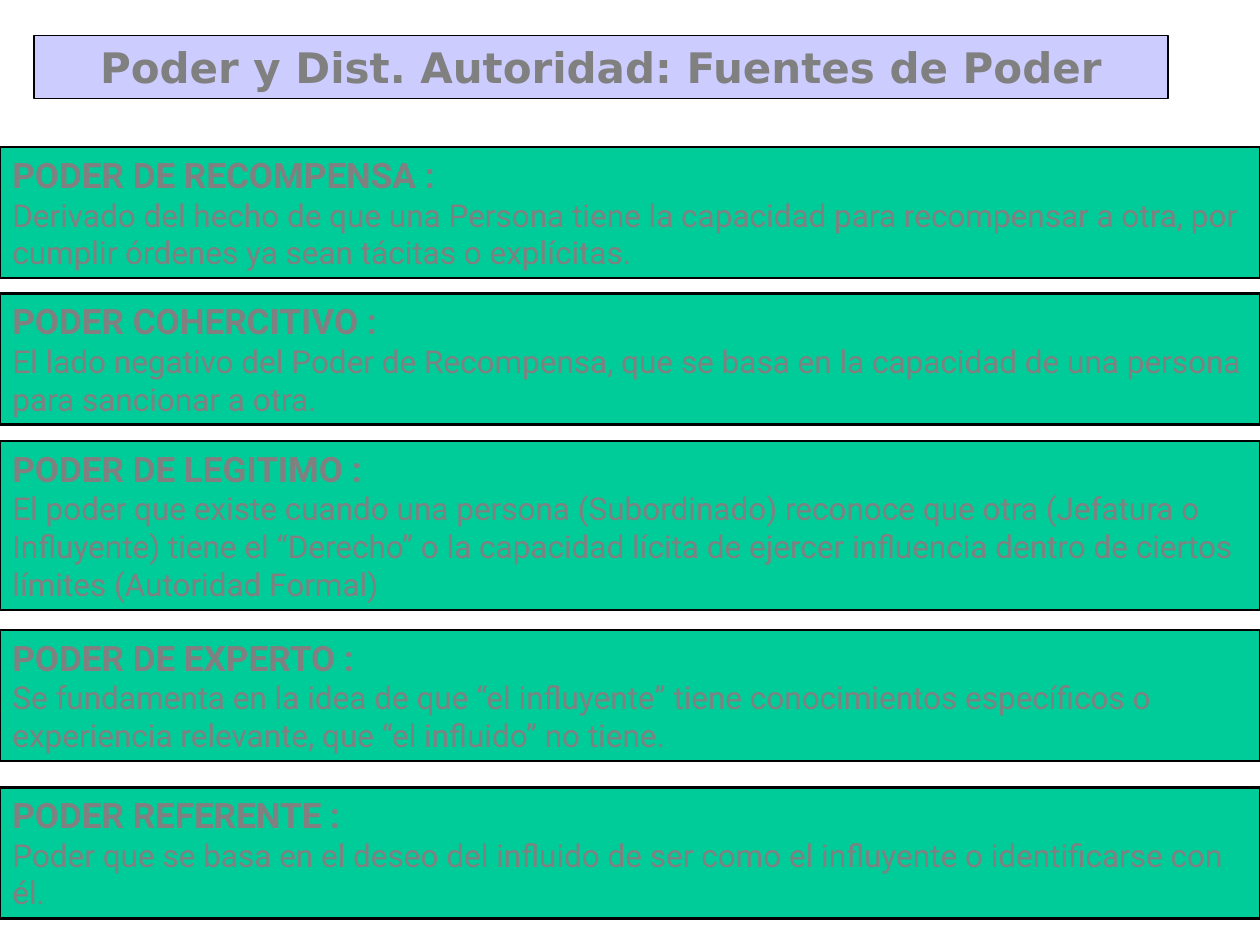
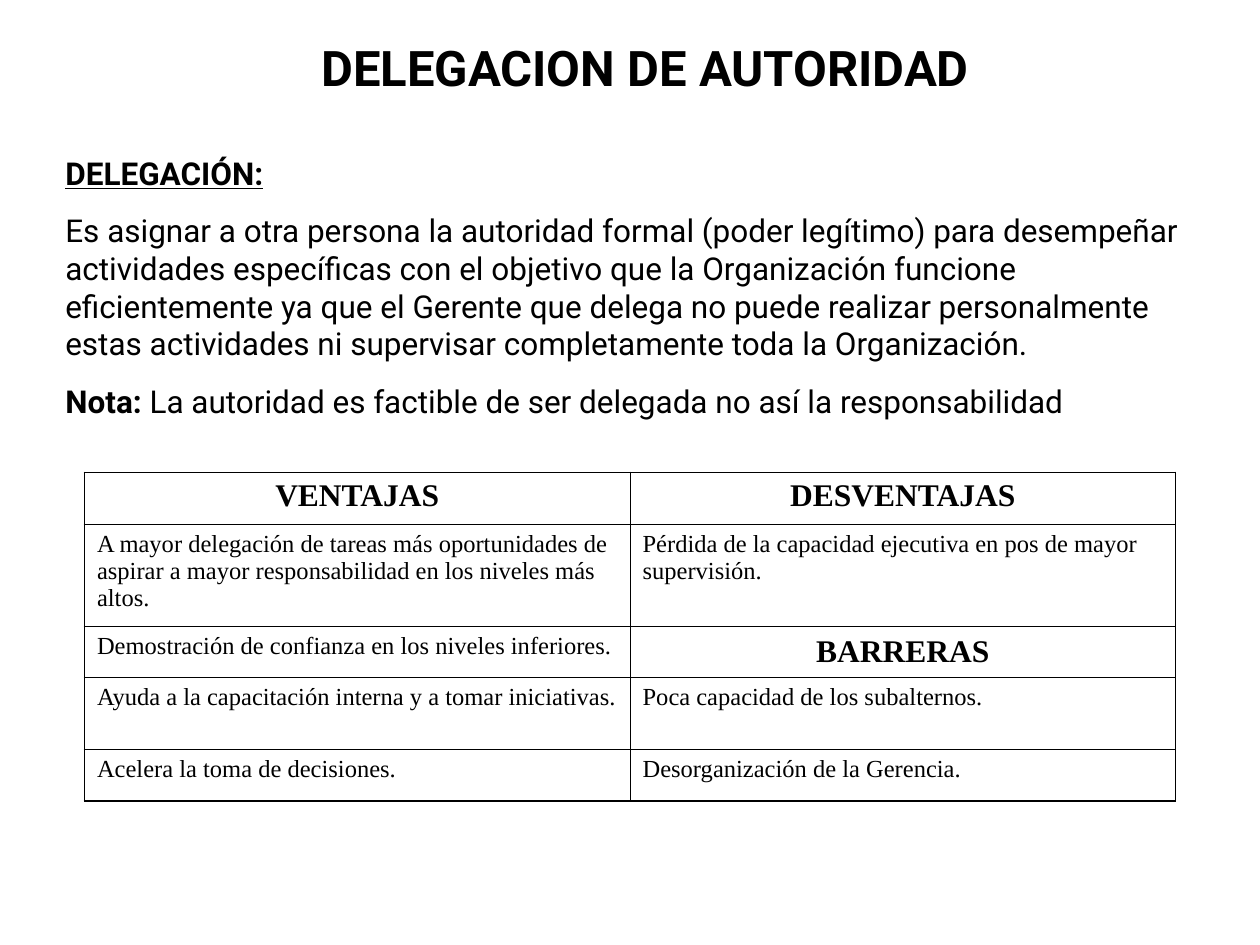
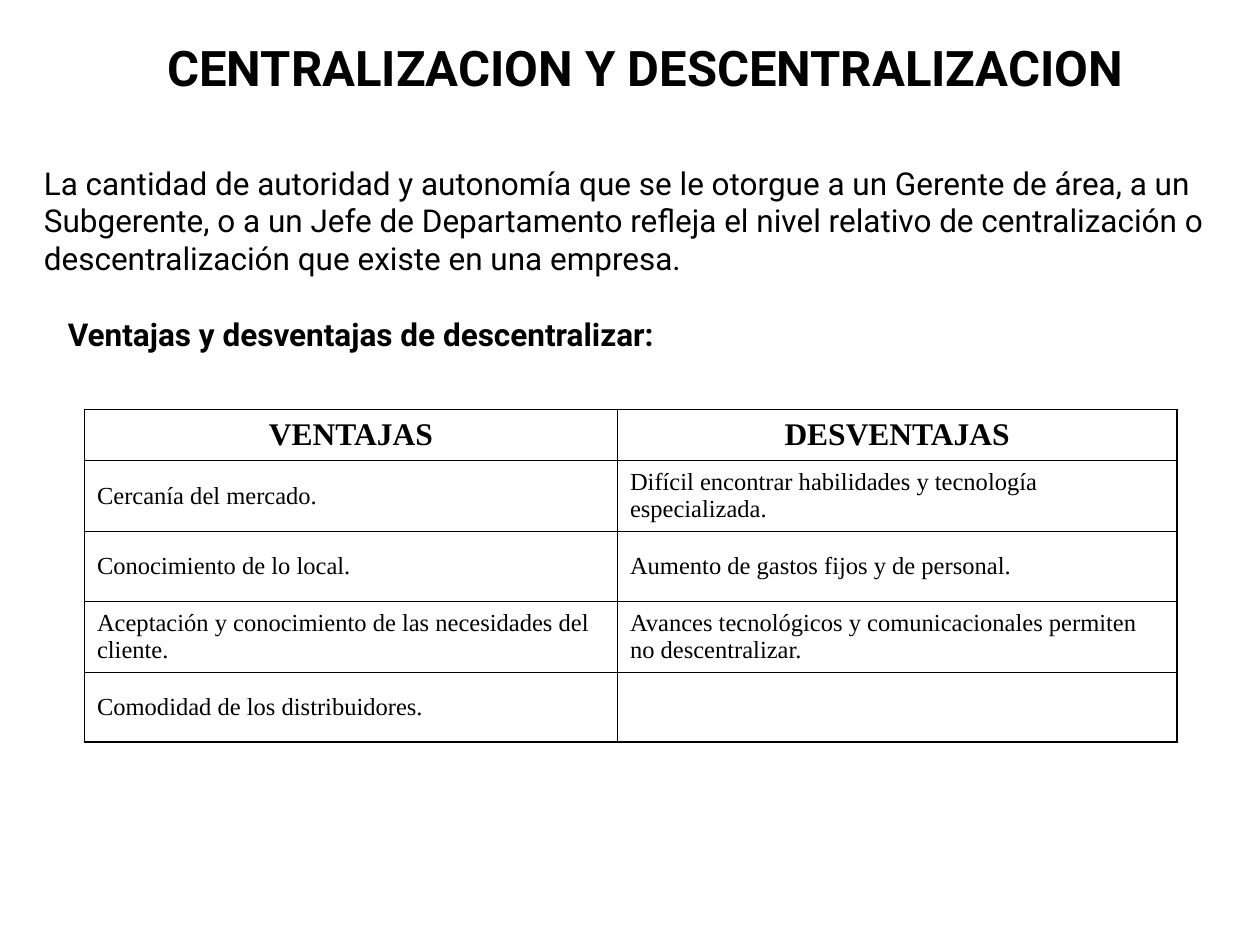
from pptx import Presentation, util as u
from pptx.dml.color import RGBColor
from pptx.enum import shapes, text
from pptx.oxml import parse_xml
from pptx.oxml.ns import nsdecls

HUES = {"ink": "000000", "gray": "808080", "lilac": "CCCCFF", "green": "00CC99"}
SANS, SERIF, WIDE = "Roboto", "Times New Roman", "DejaVu Sans"
HEAD = (0.59, 0.25, 9.06, 0.57)
MID, TOP = text.MSO_ANCHOR.MIDDLE, text.MSO_ANCHOR.TOP

POWERS = [
    (1.17, 1.04, "PODER DE RECOMPENSA :",
     "Derivado del hecho de que una Persona tiene la capacidad para recompensar a otra, "
     "por cumplir órdenes ya sean tácitas o explícitas."),
    (2.33, 1.04, "PODER COHERCITIVO :",
     "El lado negativo del Poder de Recompensa, que se basa en la capacidad de una persona "
     "para sancionar a otra."),
    (3.5, 1.34, "PODER DE LEGITIMO :",
     "El poder que existe cuando una persona (Subordinado) reconoce que otra (Jefatura o "
     "Influyente) tiene el “Derecho” o la capacidad lícita de ejercer influencia dentro de "
     "ciertos límites (Autoridad Formal)"),
    (5, 1.04, "PODER DE EXPERTO :",
     "Se fundamenta en la idea de que “el influyente” tiene conocimientos específicos o "
     "experiencia relevante, que “el influido” no tiene."),
    (6.25, 1.04, "PODER REFERENTE :",
     "Poder que se basa en el deseo del influido de ser como el influyente o identificarse "
     "con él."),
]
SHARING = [
    ("VENTAJAS", "DESVENTAJAS"),
    ("A mayor delegación de tareas más oportunidades de aspirar a mayor responsabilidad "
     "en los niveles más altos.",
     "Pérdida de la capacidad ejecutiva en pos de mayor supervisión."),
    ("Demostración de confianza en los niveles inferiores.", "BARRERAS"),
    ("Ayuda a la capacitación interna y a tomar iniciativas.",
     "Poca capacidad de los subalternos."),
    ("Acelera la toma de decisiones.", "Desorganización de la Gerencia."),
]
SPREAD = [
    ("VENTAJAS", "DESVENTAJAS"),
    ("Cercanía del mercado.", "Difícil encontrar habilidades y tecnología especializada."),
    ("Conocimiento de lo local.", "Aumento de gastos fijos y de personal."),
    ("Aceptación y conocimiento de las necesidades del cliente.",
     "Avances tecnológicos y comunicacionales permiten no descentralizar."),
    ("Comodidad de los distribuidores.", ""),
]


def hue(name):
    """Return the named colour."""
    return RGBColor.from_string(HUES[name])


def place(shape, box):
    """Move a shape to a box given in inches."""
    shape.left, shape.top, shape.width, shape.height = map(u.Inches, box)


def paint(shape, fill, width):
    """Fill a shape and give it a black outline."""
    shape.fill.solid()
    shape.fill.fore_color.rgb = hue(fill)
    shape.line.color.rgb = hue("ink")
    shape.line.width = u.Pt(width)


def write(frame, paras, face=SANS, tone="ink", align=text.PP_ALIGN.LEFT, gap=0, anchor=TOP):
    """Write paragraphs, each a list of (words, size, bold, underline) runs."""
    frame.word_wrap = True
    frame.vertical_anchor = anchor
    for i, runs in enumerate(paras):
        para = frame.add_paragraph() if i else frame.paragraphs[0]
        para.alignment = align
        para.space_before = u.Pt(gap if i else 0)
        for words, size, bold, under in runs:
            run = para.add_run()
            run.text = words
            font = run.font
            font.name, font.size, font.bold, font.underline = face, u.Pt(size), bold, under
            font.color.rgb = hue(tone)


def start(deck, words, box=HEAD, size=28, face=SANS, tone="ink", anchor=TOP):
    """Add a slide with its title and return both."""
    slide = deck.slides.add_slide(deck.slide_layouts[5])
    title = slide.shapes.title
    place(title, box)
    title.text_frame.auto_size = text.MSO_AUTO_SIZE.NONE
    write(title.text_frame, [[(words, size, True, False)]], face, tone,
          text.PP_ALIGN.CENTER, anchor=anchor)
    return slide, title


def note(slide, box, paras):
    """Add a text box of body paragraphs."""
    area = slide.shapes.add_textbox(*map(u.Inches, box))
    write(area.text_frame, paras, gap=11.2)


def band(slide, box, name, words):
    """Add a green band with a bold name over its meaning."""
    shape = slide.shapes.add_shape(shapes.MSO_SHAPE.RECTANGLE, *map(u.Inches, box))
    shape.shadow.inherit = False
    paint(shape, "green", 1.25)
    write(shape.text_frame, [[(name, 20, True, False)], [(words, 18, False, False)]], tone="gray")


def edge(cell, side, outer):
    """Draw one border of a cell, heavier on the outside."""
    width = u.Pt(1.08 if outer else 0.45)
    cell._tc.get_or_add_tcPr().append(parse_xml(
        f'<a:ln{side} {nsdecls("a")} w="{width}"><a:solidFill>'
        f'<a:srgbClr val="{HUES["ink"]}"/></a:solidFill></a:ln{side}>'))


def grid(slide, box, cols, highs, rows, anchor):
    """Add a ruled table whose capital cells are headings."""
    table = slide.shapes.add_table(len(rows), len(cols), *map(u.Inches, box)).table
    table.first_row = table.horz_banding = False
    for col, wide in zip(table.columns, cols):
        col.width = u.Inches(wide)
    for r, row in enumerate(rows):
        table.rows[r].height = u.Inches(highs[r])
        for c, words in enumerate(row):
            cell = table.cell(r, c)
            sides = {"L": c == 0, "R": c == len(cols) - 1, "T": r == 0, "B": r == len(rows) - 1}
            for side, outer in sides.items():
                edge(cell, side, outer)
            cell.fill.background()
            cell.vertical_anchor = anchor
            if not words:
                continue
            head = words.isupper()
            if head and r:
                cell.vertical_anchor = MID
            write(cell.text_frame, [[(words, 18 if head else 14, head, False)]], SERIF,
                  align=text.PP_ALIGN.CENTER if head else text.PP_ALIGN.LEFT,
                  anchor=cell.vertical_anchor)


def power(deck):
    """Build the slide on sources of power."""
    slide, title = start(deck, "Poder y Dist. Autoridad: Fuentes de Poder",
                         (0.27, 0.28, 9, 0.5), 24, WIDE, "gray", MID)
    paint(title, "lilac", 0.75)
    for top, high, name, words in POWERS:
        band(slide, (0, top, 10, high), name, words)


def share(deck):
    """Build the slide on delegation."""
    slide, _ = start(deck, "DELEGACION DE AUTORIDAD")
    note(slide, (0.42, 1.17, 9.25, 2.52), [
        [("DELEGACIÓN:", 18, True, True)],
        [("Es asignar a otra persona la autoridad formal (poder legítimo) para desempeñar "
          "actividades específicas con el objetivo que la Organización funcione eficientemente "
          "ya que el Gerente que delega no puede realizar personalmente estas actividades ni "
          "supervisar completamente toda la Organización.", 18, False, False)],
        [("Nota:", 18, True, False),
         (" La autoridad es factible de ser delegada no así la responsabilidad",
          18, False, False)],
    ])
    grid(slide, (0.67, 3.75, 8.67, 2.61), (4.33, 4.33), (0.41, 0.81, 0.41, 0.57, 0.41),
         SHARING, TOP)


def spread(deck):
    """Build the slide on centralising and decentralising."""
    slide, _ = start(deck, "CENTRALIZACION Y DESCENTRALIZACION")
    note(slide, (0.25, 1.25, 9.42, 1), [
        [("La cantidad de autoridad y autonomía que se le otorgue a un Gerente de área, a un "
          "Subgerente, o a un Jefe de Departamento refleja el nivel relativo de centralización "
          "o descentralización que existe en una empresa.", 18, False, False)]])
    grid(slide, (0.67, 3.25, 8.67, 2.64), (4.23, 4.44), (0.4, 0.57, 0.55, 0.57, 0.55),
         SPREAD, MID)
    note(slide, (0.44, 2.45, 5.34, 0.4),
         [[("Ventajas y desventajas de descentralizar:", 18, True, False)]])


def main():
    """Build and save the deck."""
    deck = Presentation()
    deck.slide_width, deck.slide_height = u.Inches(10), u.Inches(7.5)
    for build in (power, share, spread):
        build(deck)
    deck.save("out.pptx")


if __name__ == "__main__":
    main()
